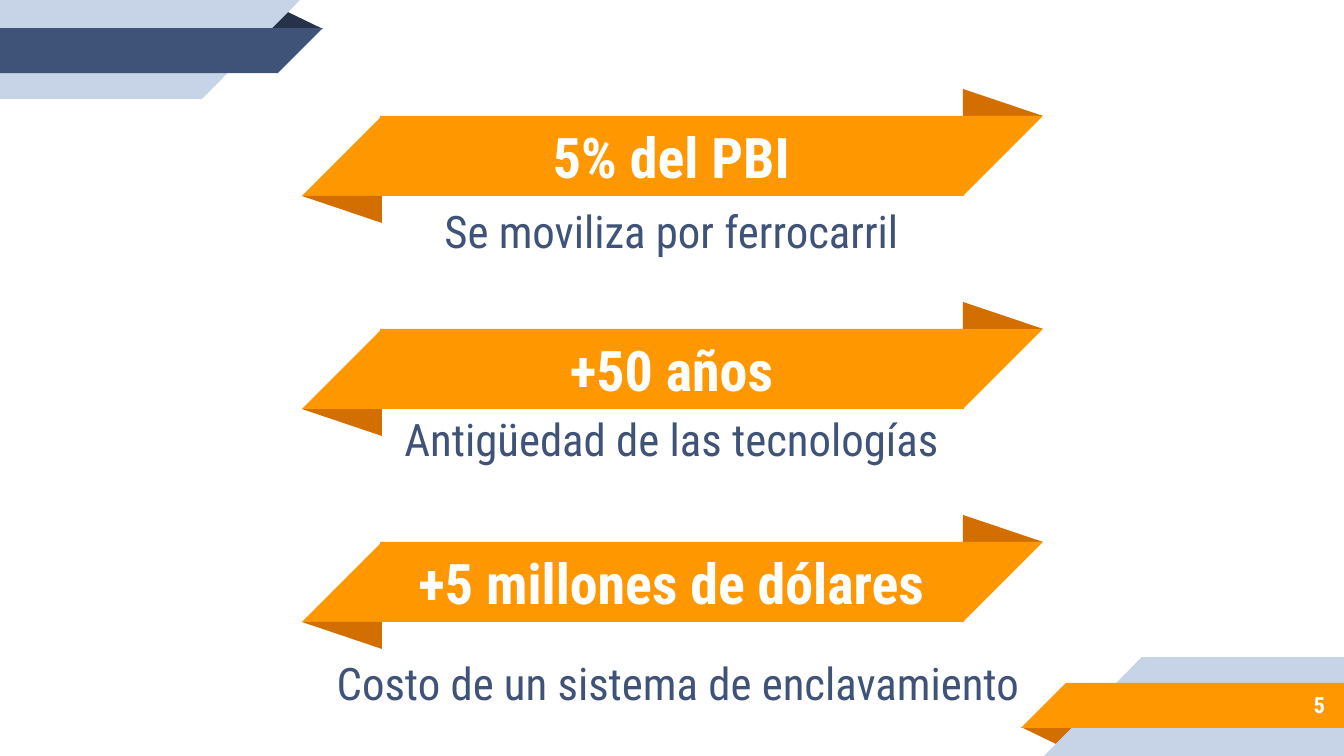
from dataclasses import dataclass

from pptx import Presentation
from pptx.dml.color import RGBColor
from pptx.enum.shapes import MSO_SHAPE
from pptx.enum.text import MSO_ANCHOR, MSO_AUTO_SIZE, PP_ALIGN
from pptx.util import Emu, Pt

RECT = MSO_SHAPE.RECTANGLE
RIGHT_TRIANGLE = MSO_SHAPE.RIGHT_TRIANGLE
TRIANGLE = MSO_SHAPE.ISOSCELES_TRIANGLE
MIDDLE = MSO_ANCHOR.MIDDLE
NO_FIT = MSO_AUTO_SIZE.NONE
CENTER, RIGHT = PP_ALIGN.CENTER, PP_ALIGN.RIGHT

SCALE = 914400 / 134.4
WIDTH, HEIGHT = 1344, 756


def px(n):
    return Emu(round(n * SCALE))


@dataclass(frozen=True)
class Theme:
    font: str = "Roboto Condensed"
    orange: str = "FF9800"
    dark_orange: str = "D26F00"
    navy: str = "3F5378"
    dark_navy: str = "263248"
    pale: str = "C7D3E6"
    white: str = "FFFFFF"
    heading: int = 30
    body: int = 24
    number: int = 12
    inset: int = 13


def set_text(sp, text, *, font, size, color, inset, bold=False, align=CENTER):
    tf = sp.text_frame
    tf.word_wrap = True
    tf.auto_size = NO_FIT
    tf.vertical_anchor = MIDDLE
    tf.margin_left = tf.margin_right = px(inset)
    tf.margin_top = tf.margin_bottom = px(inset)
    p = tf.paragraphs[0]
    p.alignment = align
    p.line_spacing = 1.0
    p.space_before = Pt(0)
    r = p.add_run()
    r.text = text
    r.font.name = font
    r.font.size = Pt(size)
    r.font.bold = bold
    r.font.color.rgb = RGBColor.from_string(color)


class SlideBuilder:
    def __init__(self, slide, theme):
        self.slide = slide
        self.theme = theme

    def shape(self, kind, box, color, turned=False, flip=False, apex=None):
        sp = self.slide.shapes.add_shape(kind, *map(px, box))
        sp.shadow.inherit = False
        sp.fill.solid()
        sp.fill.fore_color.rgb = RGBColor.from_string(color)
        sp.line.fill.background()
        if apex is not None:
            sp.adjustments[0] = apex
        if flip:
            sp._element.spPr.get_or_add_xfrm().set("flipH", "1")
        if turned:
            sp.rotation = 180

    def text(self, text, box, size, color, **kwargs):
        sp = self.slide.shapes.add_textbox(*map(px, box))
        set_text(sp, text, font=self.theme.font, size=size, color=color,
                 inset=self.theme.inset, **kwargs)

    def title(self, text, box):
        t = self.theme
        sp = self.slide.shapes.title
        sp.left, sp.top, sp.width, sp.height = map(px, box)
        # Bring the placeholder in front of the ribbon
        self.slide.shapes._spTree.append(sp._element)
        set_text(sp, text, font=t.font, size=t.heading, color=t.white,
                 inset=t.inset, bold=True)

    def corner(self, color, fold_color, opposite=False):
        """Bottom-right ornament; its half turn sits in the opposite corner."""
        pale = self.theme.pale
        parts = [
            (TRIANGLE, (1021, 727, 58, 19), fold_color),
            (RECT, (1142, 657, 202, 99), pale),
            (RIGHT_TRIANGLE, (1044, 657, 98, 99), pale),
            (RECT, (1066, 683, 278, 45), color),
            (RIGHT_TRIANGLE, (1021, 683, 45, 45), color),
        ]
        for kind, (x, y, w, h), fill in parts:
            if opposite:
                x, y = WIDTH - x - w, HEIGHT - y - h
            fold = kind == TRIANGLE
            self.shape(kind, (x, y, w, h), fill, turned=fold != opposite,
                       flip=not fold, apex=0.324 if fold else None)

    def ribbon(self, top):
        t = self.theme
        left, right, wing, fold = 302, 963, 80, 27
        self.shape(TRIANGLE, (right, top - fold, wing, fold), t.dark_orange, apex=0)
        self.shape(RECT, (left + wing - 2, top, right - left - wing + 3, wing), t.orange)
        self.shape(RIGHT_TRIANGLE, (right, top, wing, wing), t.orange,
                   turned=True, flip=True)
        self.shape(RIGHT_TRIANGLE, (left, top, wing, wing), t.orange, flip=True)
        self.shape(TRIANGLE, (left, top + wing, wing, fold), t.dark_orange,
                   turned=True, apex=0)


def main():
    prs = Presentation()
    prs.slide_width, prs.slide_height = px(WIDTH), px(HEIGHT)
    s = prs.slides.add_slide(prs.slide_layouts[5])
    t = Theme()
    b = SlideBuilder(s, t)

    # Corner ornaments
    b.corner(t.orange, t.dark_orange)
    b.corner(t.navy, t.dark_navy, opposite=True)

    # Ribbons with a key figure and its caption
    facts = [
        ("5% del PBI", "Se moviliza por ferrocarril", (384, 196, 575, 69)),
        ("+50 años", "Antigüedad de las tecnologías", (384, 409, 575, 60)),
        ("+5 millones de dólares", "Costo de un sistema de enclavamiento",
         (319, 653, 718, 60)),
    ]
    for i, (figure, caption, caption_box) in enumerate(facts):
        top = 116 + 213 * i
        b.ribbon(top)
        figure_box = (384, top + 1, 575, 78)
        if i == 0:
            b.title(figure, figure_box)
        else:
            b.text(figure, figure_box, t.heading, t.white, bold=True)
        b.text(caption, caption_box, t.body, t.navy)

    # Slide number
    b.text("5", (1119, 681, 219, 47), t.number, t.white, bold=True, align=RIGHT)

    prs.save("out.pptx")


if __name__ == "__main__":
    main()
